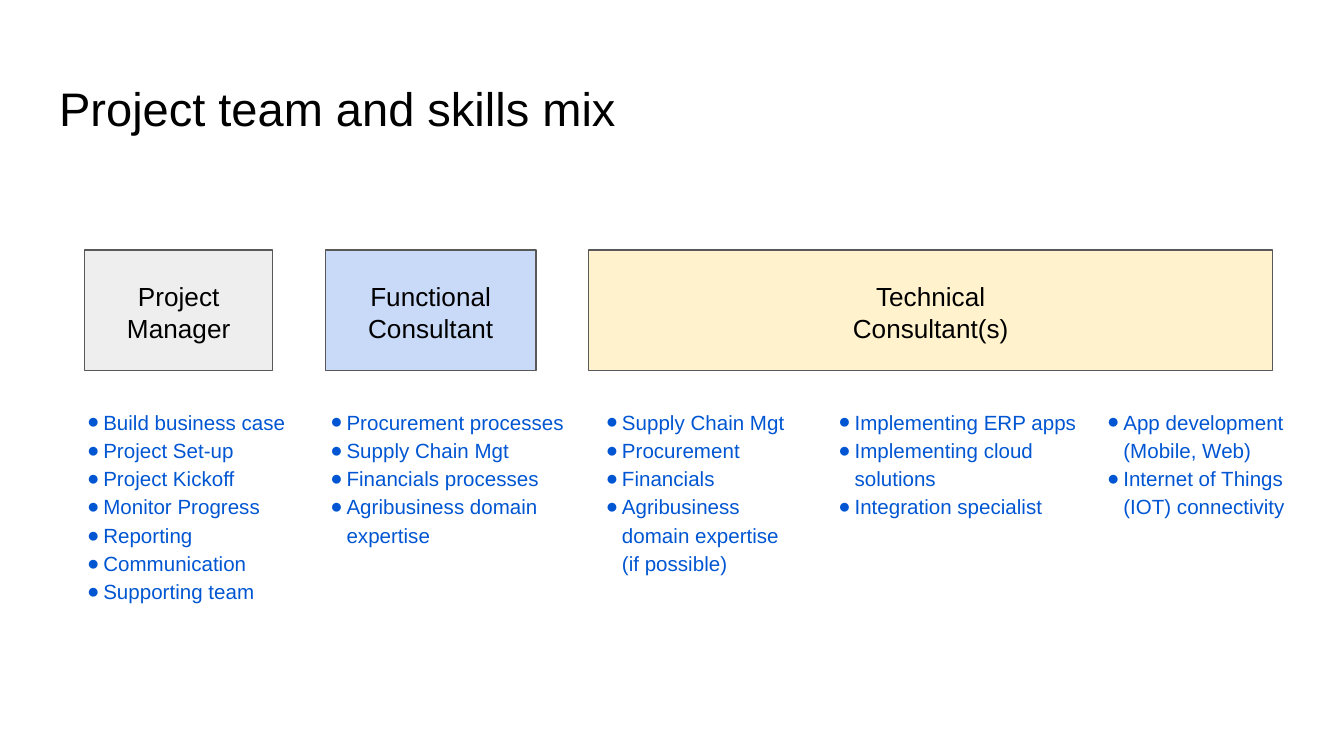
from lxml import etree
from pptx import Presentation
from pptx.dml.color import RGBColor
from pptx.enum import shapes, text
from pptx.oxml import ns
from pptx.util import Inches, Pt

FONT = "Arial"
BLACK = RGBColor(0x00, 0x00, 0x00)
BLUE = RGBColor(0x00, 0x56, 0xD2)
OUTLINE = RGBColor(0x59, 0x59, 0x59)
GREY = RGBColor(0xEE, 0xEE, 0xEE)
PALE_BLUE = RGBColor(0xC9, 0xDA, 0xF8)
CREAM = RGBColor(0xFF, 0xF2, 0xCC)


def prepare_frame(shape):
    frame = shape.text_frame
    frame.word_wrap = True
    frame.vertical_anchor = text.MSO_ANCHOR.TOP
    frame.margin_left = frame.margin_right = Inches(0.1)
    frame.margin_top = frame.margin_bottom = Inches(0.1)
    return frame


def add_run(paragraph, words, size, color):
    run = paragraph.add_run()
    run.text = words
    run.font.name = FONT
    run.font.size = Pt(size)
    run.font.color.rgb = color


# Widescreen 16:9 slide
presentation = Presentation()
presentation.slide_width = Inches(10)
presentation.slide_height = Inches(10 * 9 / 16)
slide = presentation.slides.add_slide(presentation.slide_layouts[5])

# Title
title = slide.shapes.title
title.left, title.top = Inches(0.34), Inches(0.49)
title.width, title.height = Inches(9.32), Inches(0.63)
paragraph = prepare_frame(title).paragraphs[0]
paragraph.alignment = text.PP_ALIGN.LEFT
add_run(paragraph, "Project team and skills mix", 25.2, BLACK)

# Role boxes, each with a centred label: name, left, width, label width, fill
roles = [
    ("Project Manager", 0.63, 1.4, 1, GREY),
    ("Functional Consultant", 2.42, 1.57, 1.36, PALE_BLUE),
    ("Technical Consultant(s)", 4.38, 5.09, 2.1, CREAM),
]
for name, left, width, label_width, fill in roles:
    box = slide.shapes.add_shape(
        shapes.MSO_SHAPE.RECTANGLE, Inches(left), Inches(1.86), Inches(width), Inches(0.9))
    box.shadow.inherit = False
    box.fill.solid()
    box.fill.fore_color.rgb = fill
    box.line.color.rgb = OUTLINE
    box.line.width = Pt(0.75)

    label_left = left + (width - label_width) / 2
    label = slide.shapes.add_textbox(
        Inches(label_left), Inches(1.99), Inches(label_width), Inches(0.67))
    paragraph = prepare_frame(label).paragraphs[0]
    paragraph.alignment = text.PP_ALIGN.CENTER
    add_run(paragraph, name, 14, BLACK)

# Skill lists under the roles: left, width, height, items
skill_lists = [
    (0.55, 1.98, 1.93, ["Build business case", "Project Set-up", "Project Kickoff",
                        "Monitor Progress", "Reporting", "Communication",
                        "Supporting team"]),
    (2.36, 1.98, 1.5, ["Procurement processes", "Supply Chain Mgt",
                       "Financials processes", "Agribusiness domain expertise"]),
    (4.41, 1.57, 1.72, ["Supply Chain Mgt", "Procurement", "Financials",
                        "Agribusiness domain expertise (if possible)"]),
    (6.14, 1.98, 1.03, ["Implementing ERP apps", "Implementing cloud solutions",
                        "Integration specialist"]),
    (8.14, 1.57, 1.29, ["App development (Mobile, Web)",
                        "Internet of Things (IOT) connectivity"]),
]
for left, width, height, skills in skill_lists:
    skill_box = slide.shapes.add_textbox(
        Inches(left), Inches(2.92), Inches(width), Inches(height))
    frame = prepare_frame(skill_box)
    for index, skill in enumerate(skills):
        paragraph = frame.add_paragraph() if index else frame.paragraphs[0]
        paragraph.line_spacing = 1.15
        add_run(paragraph, skill, 11, BLUE)

        # Round bullet with a hanging indent
        properties = paragraph._p.get_or_add_pPr()
        properties.set("marL", str(Inches(0.12)))
        properties.set("indent", str(Inches(-0.14)))
        bullet_color = etree.SubElement(properties, ns.qn("a:buClr"))
        etree.SubElement(bullet_color, ns.qn("a:srgbClr"), val=str(BLUE))
        etree.SubElement(properties, ns.qn("a:buFont"), typeface=FONT)
        etree.SubElement(properties, ns.qn("a:buChar"), char="●")

presentation.save("out.pptx")
